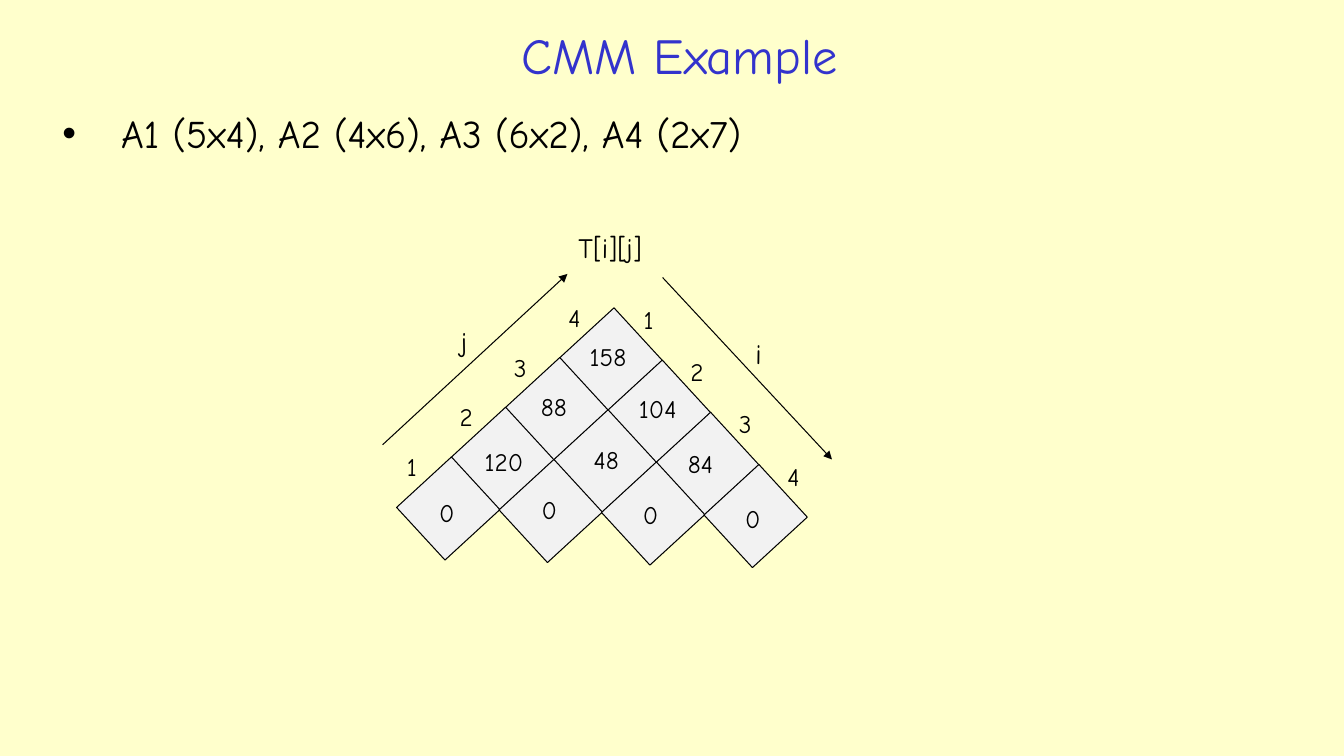
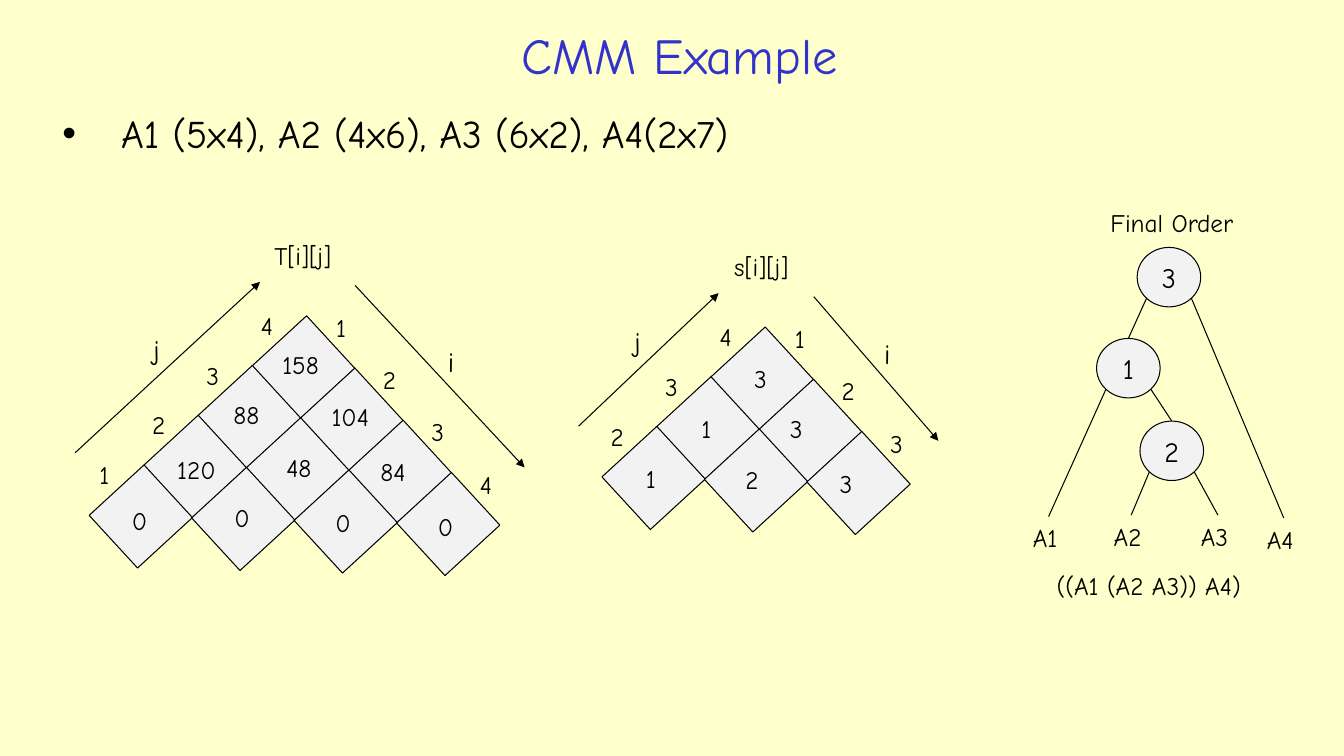
from lxml.etree import SubElement
from pptx import Presentation
from pptx.dml.color import RGBColor
from pptx.enum.shapes import MSO_CONNECTOR as Connector, MSO_SHAPE as Preset
from pptx.enum.text import MSO_ANCHOR as Anchor, PP_ALIGN as Align
from pptx.oxml.ns import qn
from pptx.util import Pt

COLORS = {
    "background": "FFFFCC",
    "title": "3333CC",
    "ink": "000000",
    "cell": "F2F2F2",
}
FONT = "Comic Neue"
LINE_WIDTH = 0.75

CELL_WIDTH, CELL_HEIGHT, CELL_ROTATION = 53.3, 51.1, 317.4
STEP_I = (34.5, 37.3)
STEP_J = (-38.7, 35.5)
NODE_WIDTH, NODE_HEIGHT = 45.4, 42.5

COST_ROWS = [
    [("158", -2, -2)],
    [("88", -2, -2), ("104", -1, -2)],
    [("120", 1, 2), ("48", 1, -1), ("84", -5, 0)],
    [("0", -1, 3), ("0", -1, -1), ("0", -2, 1), ("0", -2, 2)],
]
SPLIT_ROWS = [
    [("3", -1, 0)],
    [("1", -1, 0), ("3", -10, -2)],
    [("1", -2, 0), ("2", -3, -1), ("3", -9, 0)],
]
TREE_NODES = {"3": (105, 54), "1": (76, 119), "2": (107, 178)}
TREE_LEAVES = {"A1": (19, 225), "A2": (78, 224), "A3": (140, 224), "A4": (187, 226)}
TREE_EDGES = [
    ("3", -1, "1"), ("1", 1, "2"), ("1", -1, "A1"),
    ("2", -1, "A2"), ("2", 1, "A3"), ("3", 1, "A4"),
]


def rgb(name):
    """Return the named palette colour."""
    return RGBColor.from_string(COLORS[name])


def write(shape, text, size, color="ink", align=Align.CENTER, anchor=Anchor.MIDDLE):
    """Write one styled run into a shape and return its paragraph."""
    frame = shape.text_frame
    frame.vertical_anchor = anchor
    paragraph = frame.paragraphs[0]
    paragraph.alignment = align
    run = paragraph.add_run()
    run.text = text
    run.font.name = FONT
    run.font.size = Pt(size)
    run.font.color.rgb = rgb(color)
    return paragraph


def add_label(slide, text, center_x, center_y, size=18):
    """Add a one-line text box, wide enough for its text, centred on a point."""
    width = 0.6 * size * len(text) + 20
    height = 1.2 * size + 7.2
    box = slide.shapes.add_textbox(
        Pt(center_x - width / 2), Pt(center_y - height / 2), Pt(width), Pt(height))
    box.text_frame.word_wrap = False
    write(box, text, size)


def add_outlined(slide, preset, center_x, center_y, width, height):
    """Add a pale outlined shape centred on a point."""
    shape = slide.shapes.add_shape(
        preset, Pt(center_x - width / 2), Pt(center_y - height / 2), Pt(width), Pt(height))
    shape.shadow.inherit = False
    shape.fill.solid()
    shape.fill.fore_color.rgb = rgb("cell")
    shape.line.color.rgb = rgb("ink")
    shape.line.width = Pt(LINE_WIDTH)
    return shape


def add_line(slide, start, end, arrow=False):
    """Add a straight line, with an arrowhead at its end if asked."""
    line = slide.shapes.add_connector(
        Connector.STRAIGHT, *(Pt(value) for value in (*start, *end)))
    line.line.color.rgb = rgb("ink")
    line.line.width = Pt(LINE_WIDTH)
    properties = line._element.spPr
    if arrow:
        SubElement(properties.find(qn("a:ln")), qn("a:tailEnd"), type="triangle")
    SubElement(properties, qn("a:effectLst"))
    return line


def add_page(presentation, bullet):
    """Add a slide with the shared background, title and bullet line."""
    slide = presentation.slides.add_slide(presentation.slide_layouts[6])
    slide.background.fill.solid()
    slide.background.fill.fore_color.rgb = rgb("background")

    title = slide.shapes.add_textbox(Pt(142), Pt(11), Pt(687), Pt(55))
    title.text_frame.word_wrap = True
    write(title, "CMM Example", 36, "title")

    body = slide.shapes.add_textbox(Pt(37.5), Pt(74.5), Pt(902), Pt(50))
    body.text_frame.word_wrap = True
    paragraph = write(body, bullet, 28, align=Align.LEFT, anchor=Anchor.TOP)
    paragraph.space_before = Pt(5.6)
    properties = paragraph._p.get_or_add_pPr()
    properties.set("marL", str(Pt(42)))
    properties.set("indent", str(Pt(-42)))
    SubElement(properties, qn("a:buFont"), typeface="Arial")
    SubElement(properties, qn("a:buChar"), char="•")
    return slide


def add_pyramid(slide, left, top, heading, rows, heading_size=18):
    """Draw a triangular table, with its axes, from the given top left corner."""
    count = len(rows)
    run_i = (32 * count - 7, 27 * count + 22)
    run_j = (32 * count + 4, 27 * count + 14)
    apex_x, apex_y = left + run_j[0] + 31, top + 95

    def place(i, j, offset_x=0, offset_y=0):
        """Return a point offset from the centre of a cell."""
        return (apex_x + i * STEP_I[0] + j * STEP_J[0] + offset_x,
                apex_y + i * STEP_I[1] + j * STEP_J[1] + offset_y)

    cells = [(i, level - i, *cell)
             for level, row in enumerate(rows) for i, cell in enumerate(row)]
    for i, j, *_ in cells:
        cell = add_outlined(slide, Preset.RECTANGLE, *place(i, j), CELL_WIDTH, CELL_HEIGHT)
        cell.rotation = CELL_ROTATION
    for i, j, value, nudge_x, nudge_y in cells:
        add_label(slide, value, *place(i, j, nudge_x, nudge_y))

    for index in range(count):
        add_label(slide, str(index + 1), *place(index, 0, 27, -28.5))
        add_label(slide, str(4 - index), *place(0, index, -26, -30))

    start_i = place(0, 0, 37, -58.5)
    end_i = (start_i[0] + run_i[0], start_i[1] + run_i[1])
    end_j = place(0, 0, -31, -61)
    start_j = (end_j[0] - run_j[0], end_j[1] + run_j[1])
    for name, start, end, shift_x, shift_y in [
            ("i", start_i, end_i, 8, -11), ("j", start_j, end_j, -8, -13)]:
        add_line(slide, start, end, arrow=True)
        add_label(slide, name, (start[0] + end[0]) / 2 + shift_x,
                  (start[1] + end[1]) / 2 + shift_y, 20)
    add_label(slide, heading, *place(0, 0, -0.5, -80), heading_size)


def add_order_tree(slide, left, top):
    """Draw the multiplication order tree from the given top left corner."""
    add_label(slide, "Final Order", left + 107, top + 15)
    nodes = {}
    for text, (x, y) in TREE_NODES.items():
        node = add_outlined(slide, Preset.OVAL, left + x, top + y, NODE_WIDTH, NODE_HEIGHT)
        write(node, text, 20)
        nodes[text] = node
    for parent, side, child in TREE_EDGES:
        parent_x, parent_y = TREE_NODES[parent]
        child_x, child_y = TREE_LEAVES.get(child) or TREE_NODES[child]
        edge = add_line(slide, (left + parent_x + side * 16, top + parent_y + 15),
                        (left + child_x, top + child_y))
        if child in nodes:
            edge.end_connect(nodes[child], 0)
    for text, (x, y) in TREE_LEAVES.items():
        add_label(slide, text, left + x - 2.5, top + y + 15)
    add_label(slide, "((A1 (A2 A3)) A4)", left + 90.5, top + 274)


def main():
    """Build and save the two slides."""
    presentation = Presentation()
    presentation.slide_width, presentation.slide_height = Pt(960), Pt(540)

    slide = add_page(presentation, "A1 (5x4), A2 (4x6), A3 (6x2), A4 (2x7)")
    add_pyramid(slide, 273.3, 161.7, "T[i][j]", COST_ROWS, heading_size=20)

    slide = add_page(presentation, "A1 (5x4), A2 (4x6), A3 (6x2), A4(2x7)")
    add_pyramid(slide, 53.7, 167.4, "T[i][j]", COST_ROWS)
    add_pyramid(slide, 413.3, 175.4, "s[i][j]", SPLIT_ROWS)
    add_order_tree(slide, 730, 144)

    presentation.save("out.pptx")


if __name__ == "__main__":
    main()
